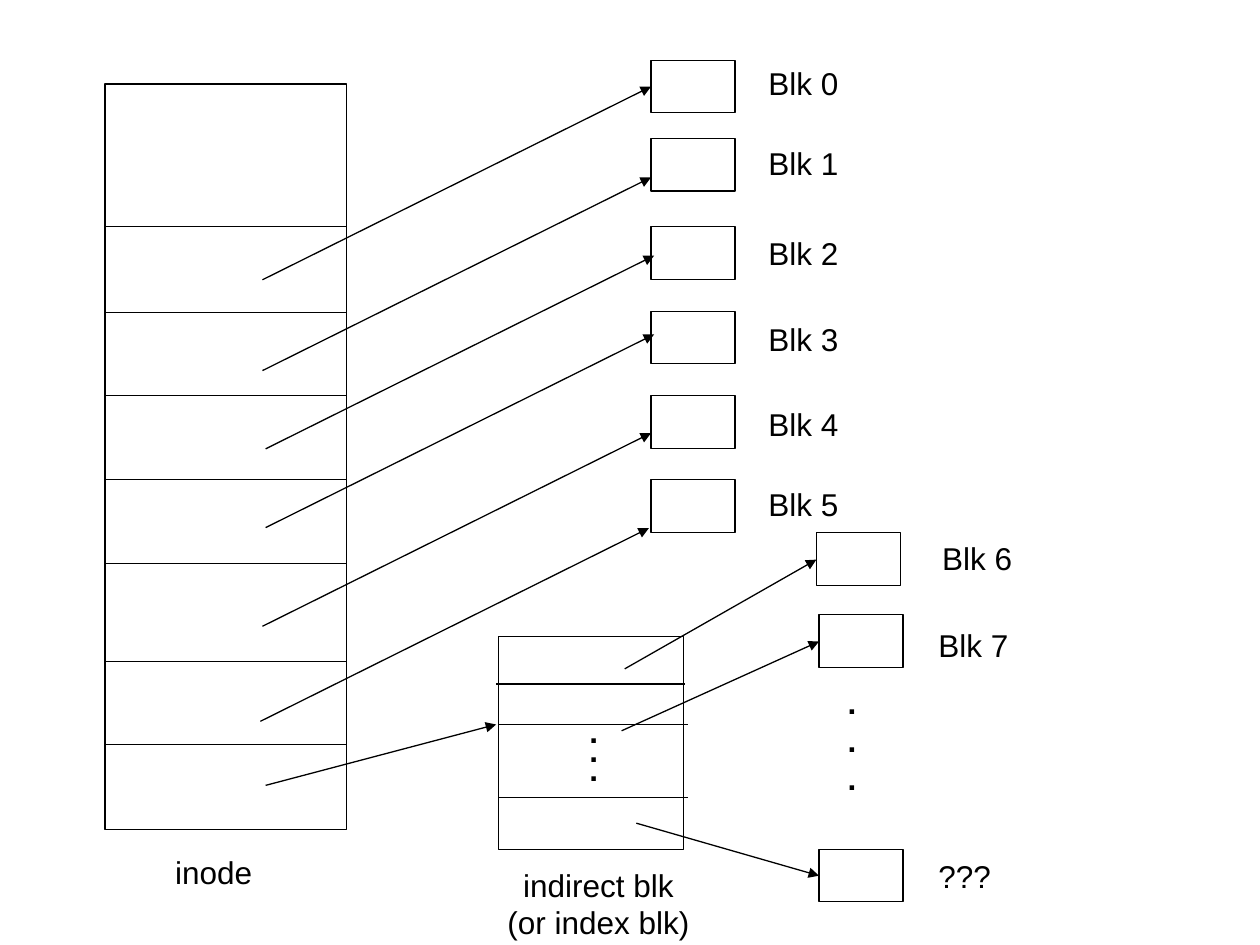
"""Draw an inode whose pointers reach data blocks directly and through an index block."""
from lxml.etree import SubElement
from pptx import Presentation
from pptx.dml.color import RGBColor
from pptx.enum.shapes import MSO_CONNECTOR, MSO_SHAPE
from pptx.enum.text import MSO_AUTO_SIZE, PP_ALIGN
from pptx.oxml.ns import qn
from pptx.util import Inches, Pt

BLACK = RGBColor(0, 0, 0)
LINE_WIDTH = Pt(0.75)

deck = Presentation()
deck.slide_width, deck.slide_height = Inches(10), Inches(7.5)
COL, ROW = deck.slide_width / 120, deck.slide_height / 90
slide = deck.slides.add_slide(deck.slide_layouts[6])


def add_rule(x1, y1, x2, y2, arrow=False):
    rule = slide.shapes.add_connector(
        MSO_CONNECTOR.STRAIGHT, int(x1 * COL), int(y1 * ROW), int(x2 * COL), int(y2 * ROW))
    rule.line.color.rgb = BLACK
    rule.line.width = LINE_WIDTH
    properties = rule._element.spPr
    if arrow:
        SubElement(properties.find(qn("a:ln")), qn("a:tailEnd"), type="triangle")
    SubElement(properties, qn("a:effectLst"))


def add_label(lines, x, y, width, height, bold=False, align=PP_ALIGN.LEFT, spacing=None):
    frame = slide.shapes.add_textbox(
        int(x * COL), int(y * ROW), int(width * COL), int(height * ROW)).text_frame
    frame.word_wrap = False
    frame.auto_size = MSO_AUTO_SIZE.SHAPE_TO_FIT_TEXT
    frame.text = "\n".join(lines)
    font_format = {"name": "Arial", "size": Pt(18), "bold": bold}
    for paragraph in frame.paragraphs:
        for key, value in {"alignment": align, "line_spacing": spacing}.items():
            setattr(paragraph, key, value)
        for key, value in font_format.items():
            setattr(paragraph.runs[0].font, key, value)
        paragraph.runs[0].font.color.rgb = BLACK


inode = (10, 8, 23, 71)
index_block = (47.5, 60.6, 17.6, 20.3)
block_size = (8, 5)
blocks = [
    ("Blk 0", 62, 5.75, 72, 5.5),
    ("Blk 1", 62, 13.2, 72, 13.1),
    ("Blk 2", 62, 21.6, 72, 21.7),
    ("Blk 3", 62, 29.65, 72, 29.9),
    ("Blk 4", 62, 37.7, 72, 37.95),
    ("Blk 5", 62, 45.7, 72, 45.6),
    ("Blk 6", 77.75, 50.75, 88.55, 50.75),
    ("Blk 7", 78, 58.55, 88.2, 59),
    ("???", 78, 80.9, 88.2, 81),
]

outlines = [inode, index_block] + [(x, y, *block_size) for _, x, y, _, _ in blocks]
for x, y, width, height in outlines:
    outline = slide.shapes.add_shape(
        MSO_SHAPE.RECTANGLE, int(x * COL), int(y * ROW), int(width * COL), int(height * ROW))
    outline.shadow.inherit = False
    outline.fill.background()
    outline.line.color.rgb = BLACK
    outline.line.width = LINE_WIDTH

for y in (21.6, 29.75, 37.7, 45.7, 53.65, 63, 70.9):
    add_rule(inode[0], y, inode[0] + inode[2], y)
for x, y in ((47.25, 65.15), (47.5, 69), (47.5, 75.95)):
    add_rule(x, y, x + 18, y)

direct_pointers = [(25, 26.65), (25, 35.3), (25.3, 42.75),
                   (25.3, 50.25), (25, 59.65), (24.8, 68.7)]
for x, y in direct_pointers:
    add_rule(x, y, x + 37, y - 18.4, arrow=True)

indirect_pointers = [
    (25.3, 74.8, 47.25, 69),
    (59.5, 63.7, 77.75, 53.3),
    (59.2, 69.6, 78, 61.1),
    (60.6, 78.4, 78, 83.4),
]
for ends in indirect_pointers:
    add_rule(*ends, arrow=True)

for caption, _, _, x, y in blocks:
    add_label([caption], x, y, 7.4 if caption == "???" else 9.1, 4.8)
add_label(["inode"], 15.5, 80.65, 9.8, 4.8)
add_label(["indirect blk", "(or index blk)"], 47.05, 81.85, 19.9, 8.5, align=PP_ALIGN.CENTER)
add_label(["."] * 3, 79.55, 64.45, 3.25, 12.1, bold=True)
add_label(["."] * 3, 54.95, 68.75, 3.25, 6.95, bold=True, spacing=0.5)

deck.save("out.pptx")
